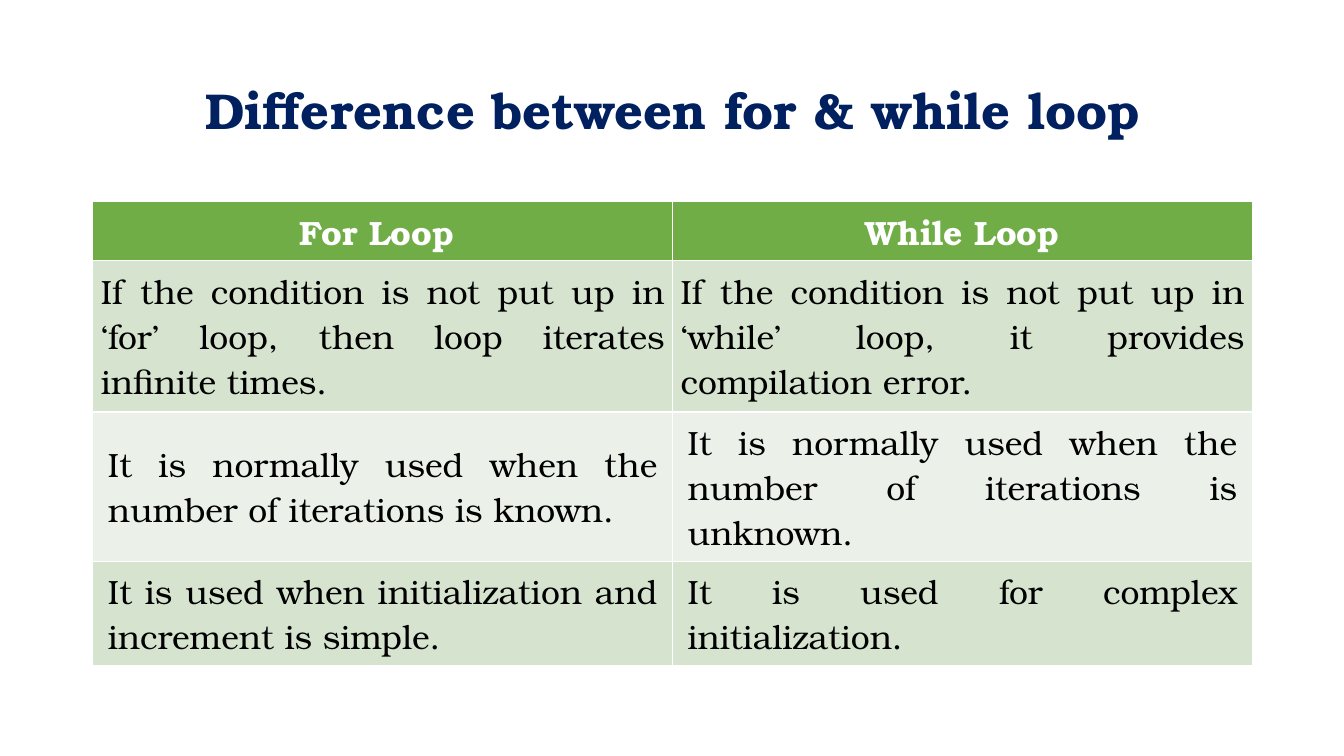
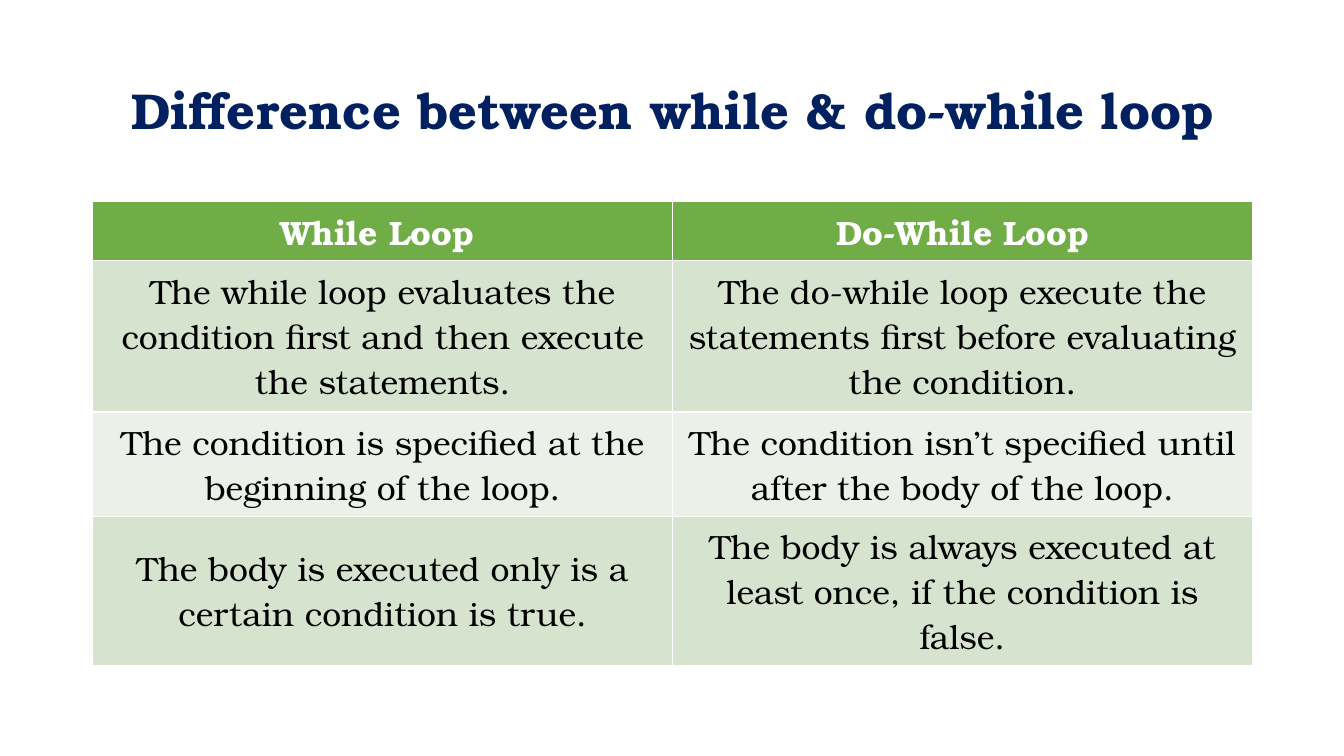
from pptx import Presentation
from pptx.dml.color import RGBColor
from pptx.enum.text import MSO_ANCHOR, PP_ALIGN
from pptx.util import Emu, Pt

TOP, MIDDLE = MSO_ANCHOR.TOP, MSO_ANCHOR.MIDDLE
CENTER, JUSTIFY = PP_ALIGN.CENTER, PP_ALIGN.JUSTIFY

SCALE = 9144  # EMU in one px, 100 px to the inch
FACE = "TeX Gyre Bonum"
LEFT, WIDTH, ROW = 92, 1150, 41

TITLE = {"size": Pt(36), "bold": True, "color": "002060"}
HEAD = {"size": Pt(24), "bold": True, "color": "FFFFFF"}
BODY = {"size": Pt(24), "bold": False, "color": "000000"}

# Per table row: fill, font, anchor, side and end margins
ROWS = [
    ("70AD47", HEAD, TOP, 10, 5),
    ("D5E3CF", BODY, TOP, 8, 8),
    ("EBF1E9", BODY, MIDDLE, 15, 7),
    ("D5E3CF", BODY, MIDDLE, 15, 7),
]

SLIDES = [
    ("Difference between for & while loop", JUSTIFY, [
        ("For Loop ", "While Loop"),
        ("If the condition is not put up in ‘for’ loop, then loop iterates infinite times.",
         "If the condition is not put up in ‘while’ loop, it provides compilation error."),
        ("It is normally used when the number of iterations is known.",
         "It is normally used when the number of iterations is unknown."),
        ("It is used when initialization and increment is simple.",
         "It is used for complex initialization."),
    ]),
    ("Difference between while & do-while loop", CENTER, [
        ("While Loop ", "Do-While Loop"),
        ("The while loop evaluates the condition first and then execute the statements.",
         "The do-while loop execute the statements first before evaluating the condition."),
        ("The condition is specified at the beginning of the loop.",
         "The condition isn’t specified until after the body of the loop."),
        ("The body is executed only is a certain condition is true.",
         "The body is always executed at least once, if the condition is false."),
    ]),
]


def px(count):
    return Emu(count * SCALE)


def rgb(code):
    return RGBColor.from_string(code)


def put(obj, **values):
    for name, value in values.items():
        setattr(obj, name, value)


def write(frame, text, style, align):
    """Fill a text frame with one formatted paragraph."""
    frame.text = text
    para = frame.paragraphs[0]
    para.alignment = align
    font = para.runs[0].font
    put(font, name=FACE, size=style["size"], bold=style["bold"])
    font.color.rgb = rgb(style["color"])
    return para


def add_title(slide, text):
    title = slide.shapes.title
    put(title, left=px(LEFT), top=px(40), width=px(WIDTH), height=px(145))
    title.text_frame.vertical_anchor = MIDDLE
    write(title.text_frame, text, TITLE, CENTER).line_spacing = 0.9


def add_grid(slide, rows, align):
    """Add the comparison table; its rows grow to fit their text."""
    count, cols = len(rows), len(rows[0])
    grid = slide.shapes.add_table(
        count, cols, px(LEFT), px(200), px(WIDTH), px(ROW * count)).table
    for r, (texts, look) in enumerate(zip(rows, ROWS)):
        fill, style, anchor, side, end = look
        for c, text in enumerate(texts):
            cell = grid.cell(r, c)
            cell.fill.solid()
            cell.fill.fore_color.rgb = rgb(fill)
            put(cell, vertical_anchor=anchor,
                margin_left=px(side), margin_right=px(side),
                margin_top=px(end), margin_bottom=px(end))
            write(cell.text_frame, text, style, align if r else CENTER)


def main():
    deck = Presentation()
    put(deck, slide_width=px(1333), slide_height=px(750))
    for title, align, rows in SLIDES:
        slide = deck.slides.add_slide(deck.slide_layouts[5])
        add_title(slide, title)
        add_grid(slide, rows, align)
    deck.save("out.pptx")


if __name__ == "__main__":
    main()
